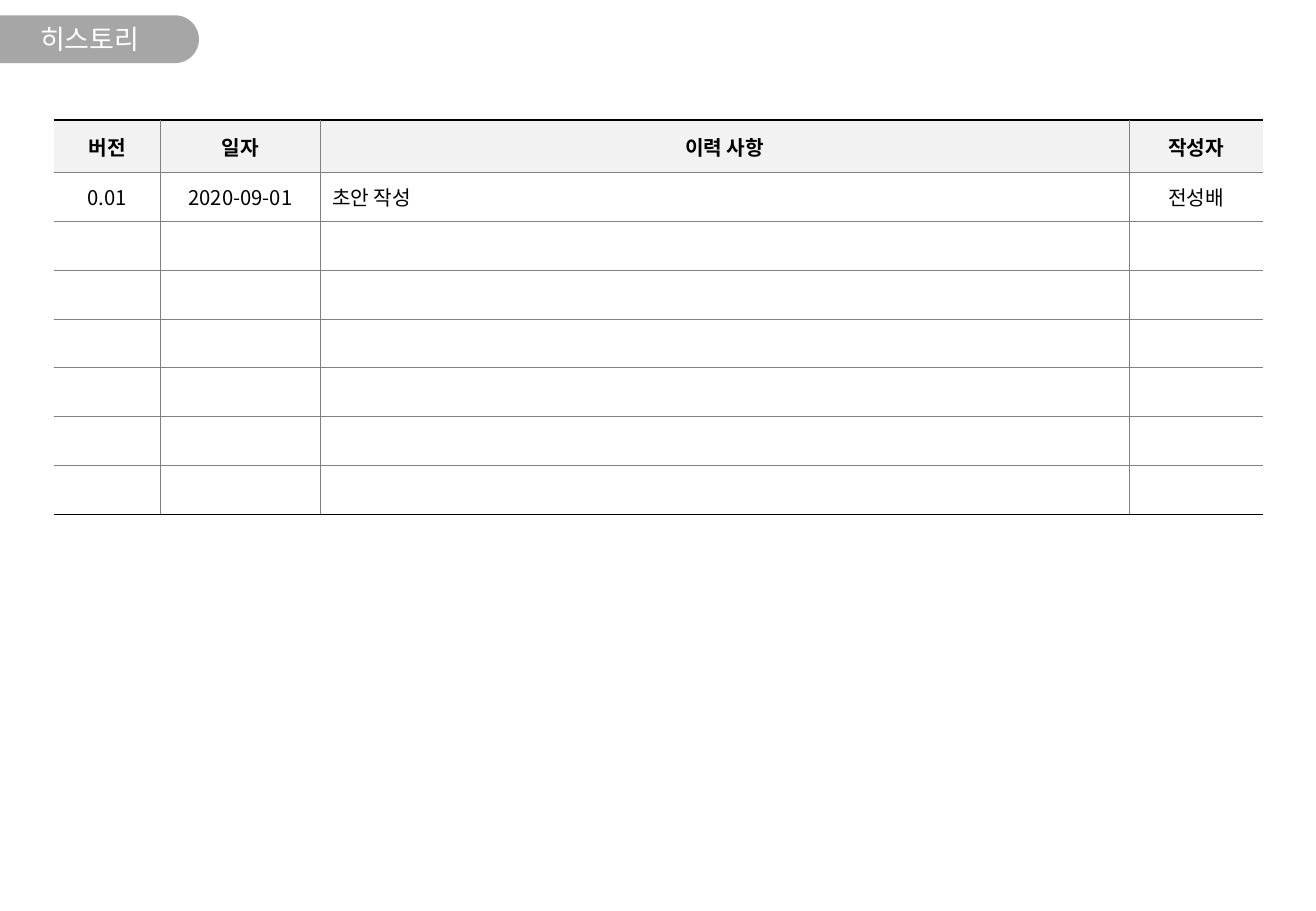
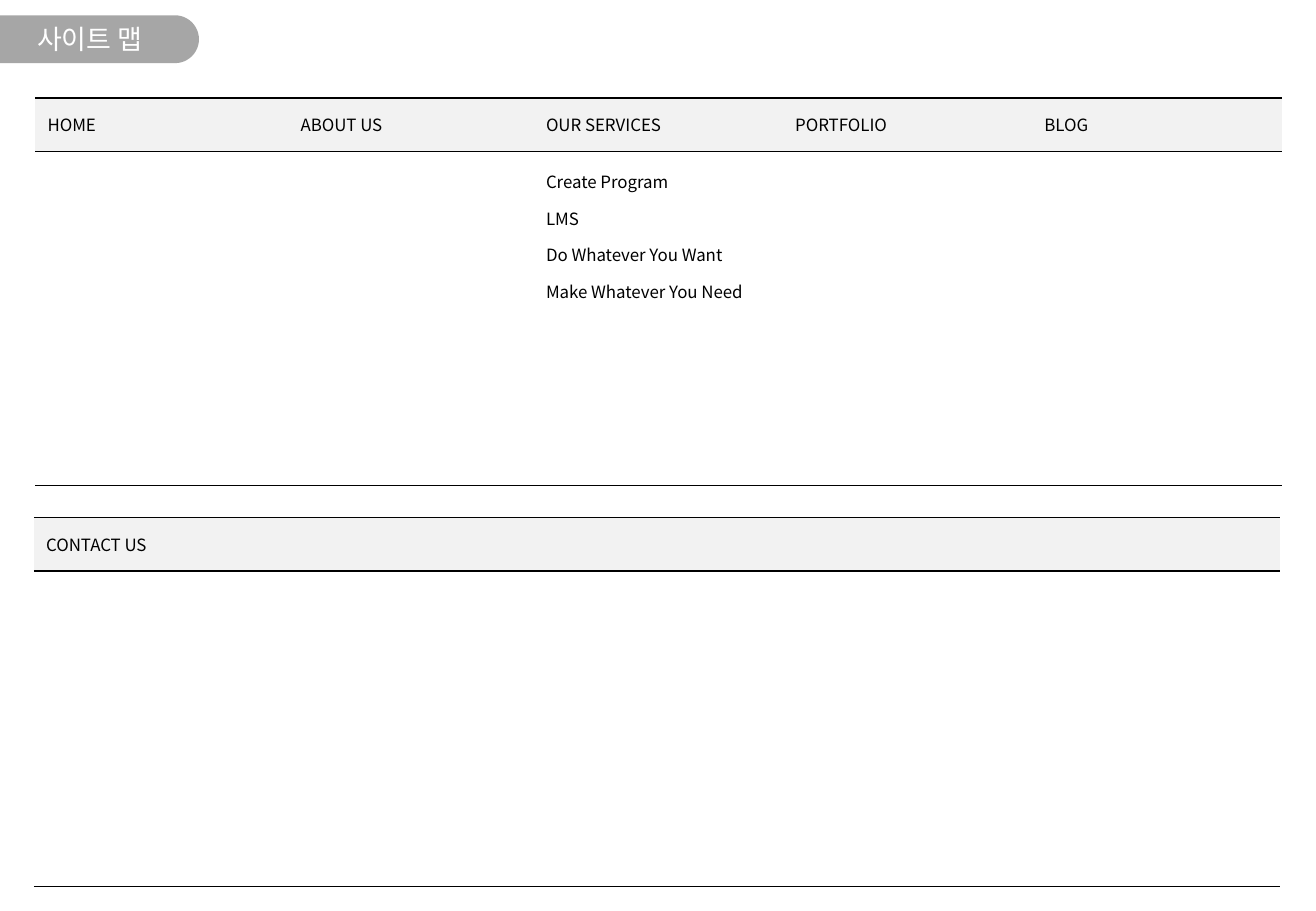
"""Build the history and site map slides of a planning deck."""
import pptx
import pptx.dml.color
import pptx.enum.shapes
import pptx.enum.text
import pptx.oxml.ns
import pptx.util
from lxml import etree

Cm, Pt = pptx.util.Cm, pptx.util.Pt
RGB = pptx.dml.color.RGBColor
ALIGN = pptx.enum.text.PP_ALIGN
ANCHOR = pptx.enum.text.MSO_ANCHOR
SHAPE = pptx.enum.shapes.MSO_SHAPE
qn = pptx.oxml.ns.qn

FONT = "Noto Sans CJK KR"
BLACK, WHITE = RGB(0, 0, 0), RGB(255, 255, 255)
TAB, RULE, HEAD = RGB(0xA6, 0xA6, 0xA6), RGB(0x80, 0x80, 0x80), RGB(0xF2, 0xF2, 0xF2)
EDGE, THIN = (BLACK, 0.75), (RULE, 0.5)

LOG = [
    ["버전", "일자", "이력 사항", "작성자"],
    ["0.01", "2020-09-01", "초안 작성", "전성배"],
] + [[""] * 4 for _ in range(6)]
MENU = [
    ["HOME", " ABOUT US", "OUR SERVICES", "PORTFOLIO", "BLOG"],
    ["", "", "Create Program\nLMS\nDo Whatever You Want\nMake Whatever You Need", "", ""],
]
REACH = [["CONTACT US", "", "", "", ""], [""] * 5]

LOG_COLS = [2.24, 3.33, 16.92, 2.79]
LOG_ROWS = [1.1] + [1.02] * 7
MAP_COLS = [5.21] * 5
NOTE_COL = 2


def write(frame, text, size=10, color=BLACK, bold=False, align=ALIGN.LEFT, space=1.0):
    for i, line in enumerate(text.split("\n")):
        para = frame.add_paragraph() if i else frame.paragraphs[0]
        para.alignment = align
        para.line_spacing = space
        if not line:
            end = etree.SubElement(para._p, qn("a:endParaRPr"))
            end.set("sz", str(size * 100))
            continue
        run = para.add_run()
        run.text = line
        font = run.font
        font.name, font.size, font.bold = FONT, Pt(size), bold
        font.color.rgb = color
        east = etree.SubElement(font._element, qn("a:ea"))
        east.set("typeface", FONT)


def border(cell, side, rule):
    line = etree.SubElement(cell._tc.get_or_add_tcPr(), qn("a:ln" + side))
    if rule is None:
        line.set("w", "0")
        etree.SubElement(line, qn("a:noFill"))
        return
    color, width = rule
    line.set("w", str(int(Pt(width))))
    fill = etree.SubElement(line, qn("a:solidFill"))
    etree.SubElement(fill, qn("a:srgbClr")).set("val", str(color))


def grid(slide, left, top, cols, rows, data, style, across, down=None):
    frame = slide.shapes.add_table(len(rows), len(cols), Cm(left), Cm(top),
                                   Cm(sum(cols)), Cm(sum(rows)))
    table = frame.table
    table.first_row = table.horz_banding = False
    for col, width in zip(table.columns, cols):
        col.width = Cm(width)
    for row, height in zip(table.rows, rows):
        row.height = Cm(height)
    for r, line in enumerate(data):
        for c, text in enumerate(line):
            cell = table.cell(r, c)
            border(cell, "L", down if c else None)
            border(cell, "R", down if c < len(cols) - 1 else None)
            border(cell, "T", across if r else EDGE)
            border(cell, "B", across if r < len(rows) - 1 else EDGE)
            cell.fill.solid()
            cell.fill.fore_color.rgb = WHITE if r else HEAD
            form = style(r, c)
            cell.vertical_anchor = form.pop("anchor", ANCHOR.MIDDLE)
            write(cell.text_frame, text, **form)
    return table


def log_style(r, c):
    left = r and c == NOTE_COL
    return dict(size=12, bold=r == 0, align=ALIGN.LEFT if left else ALIGN.CENTER)


def map_style(r, c):
    return dict(space=1.5, anchor=ANCHOR.TOP) if r else {}


def page(deck, title):
    slide = deck.slides.add_slide(deck.slide_layouts[6])
    tab = slide.shapes.add_shape(SHAPE.ROUND_2_SAME_RECTANGLE,
                                 Cm(1.58), Cm(-1.26), Cm(1), Cm(4.16))
    tab.rotation = 270
    tab.adjustments[0], tab.adjustments[1] = 0, 0.5
    tab.shadow.inherit = False
    tab.fill.solid()
    tab.fill.fore_color.rgb = TAB
    tab.line.fill.background()
    box = slide.shapes.add_textbox(Cm(-0.02), Cm(0.32), Cm(3.79), Cm(1)).text_frame
    box.word_wrap = True
    box.vertical_anchor = ANCHOR.MIDDLE
    write(box, title, size=16, color=WHITE, align=ALIGN.CENTER)
    return slide


deck = pptx.Presentation()
deck.slide_width, deck.slide_height = Cm(27.51), Cm(19.05)

past = page(deck, "히스토리")
grid(past, 1.12, 2.51, LOG_COLS, LOG_ROWS, LOG, log_style, THIN, THIN)

site = page(deck, "사이트 맵")
grid(site, 0.74, 2.05, MAP_COLS, [1.11, 7], MENU, map_style, EDGE)
reach = grid(site, 0.71, 10.83, MAP_COLS, [1.11, 6.6], REACH, map_style, EDGE)
reach.cell(0, 2).merge(reach.cell(0, 3))

deck.save("out.pptx")
